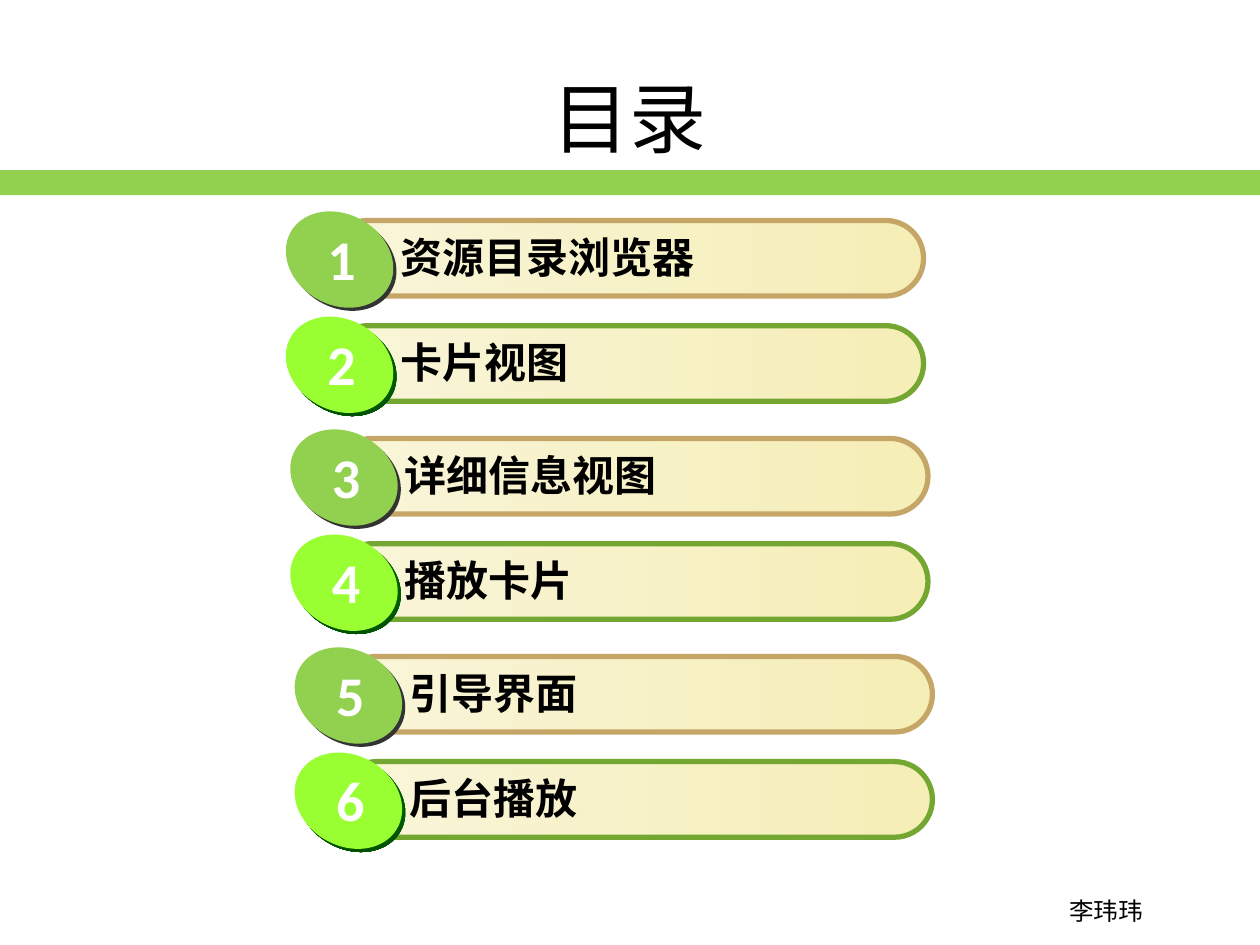
"""Build a contents slide with six numbered bars under a green band."""
import pptx
import pptx.dml.color
import pptx.enum.shapes
import pptx.enum.text
import pptx.util

deck = pptx.Presentation()
deck.slide_width = pptx.util.Inches(10)
deck.slide_height = pptx.util.Inches(7.5)
column = deck.slide_width / 100
row = deck.slide_height / 75
page = deck.slides.add_slide(deck.slide_layouts[6])
kinds = pptx.enum.shapes.MSO_SHAPE
center = pptx.enum.text.PP_ALIGN.CENTER


def add_shape(parent, kind, left, top, width, height, colors, angle=0, line=None):
    shape = parent.shapes.add_shape(
        kind, int(left * column), int(top * row), int(width * column), int(height * row))
    shape.shadow.inherit = False
    if len(colors) == 1:
        shape.fill.solid()
        shape.fill.fore_color.rgb = pptx.dml.color.RGBColor.from_string(colors[0])
    else:
        shape.fill.gradient()
        shape.fill.gradient_angle = angle
        for stop, color in zip(shape.fill.gradient_stops, colors):
            stop.color.rgb = pptx.dml.color.RGBColor.from_string(color)
    if line:
        shape.line.color.rgb = pptx.dml.color.RGBColor.from_string(line)
        shape.line.width = pptx.util.Pt(3)
    else:
        shape.line.fill.background()
    return shape


def add_text(parent, text, left, top, width, height, size, font, color="000000",
             bold=False, wrap=True, align=None):
    box = parent.shapes.add_textbox(
        int(left * column), int(top * row), int(width * column), int(height * row))
    frame = box.text_frame
    frame.text = text
    frame.word_wrap = wrap
    para = frame.paragraphs[0]
    para.alignment = align
    span = para.runs[0]
    span.font.size = pptx.util.Pt(size)
    span.font.name = font
    span.font.bold = bold
    span.font.color.rgb = pptx.dml.color.RGBColor.from_string(color)
    return box


add_text(page, "李玮玮", 83.1, 70.6, 9.4, 3.4, 14, "Noto Sans CJK SC", align=center)
add_shape(page, kinds.RECTANGLE, 0, 13.5, 100, 2, ["92D050"])
title = add_text(page, "目录", 5, 3, 90, 12.5, 44, "Noto Sans CJK SC", align=center)
title.text_frame.vertical_anchor = pptx.enum.text.MSO_ANCHOR.MIDDLE

topics = ["资源目录浏览器", "卡片视图", "详细信息视图", "播放卡片", "引导界面", "后台播放"]
styles = [
    ("C5A667", ["333333"], ["92D050"]),
    ("74A731", ["006600", "004900"], ["99FF33"]),
]

for index, topic in enumerate(topics):
    pair, member = divmod(index, 2)
    outline, shade, face = styles[member]
    left = 22.5 + 0.35 * pair
    top = 17 + 17.3 * pair + 8.35 * member
    group = page.shapes.add_group_shape()
    bar = add_shape(group, kinds.ROUNDED_RECTANGLE, left + 3.7, top + 0.5, 47.1, 6,
                    ["F9F5D9", "F5EEB7"], line=outline)
    bar.adjustments[0] = 0.5
    add_text(group, topic, left + 8.3, top + 0.85, 37.5, 5.1, 24, "Calibri", bold=True)
    for offset, colors in ((0.25, shade), (0, face)):
        disc = add_shape(group, kinds.OVAL, left + offset, top + offset, 8.9, 7.2,
                         colors, angle=270)
        disc.rotation = 29.3
    add_text(group, str(index + 1), left + 2.5, top + 0.3, 4.4, 6.4, 32, "Calibri",
             "FFFFFF", bold=True, wrap=False)

deck.save("out.pptx")
